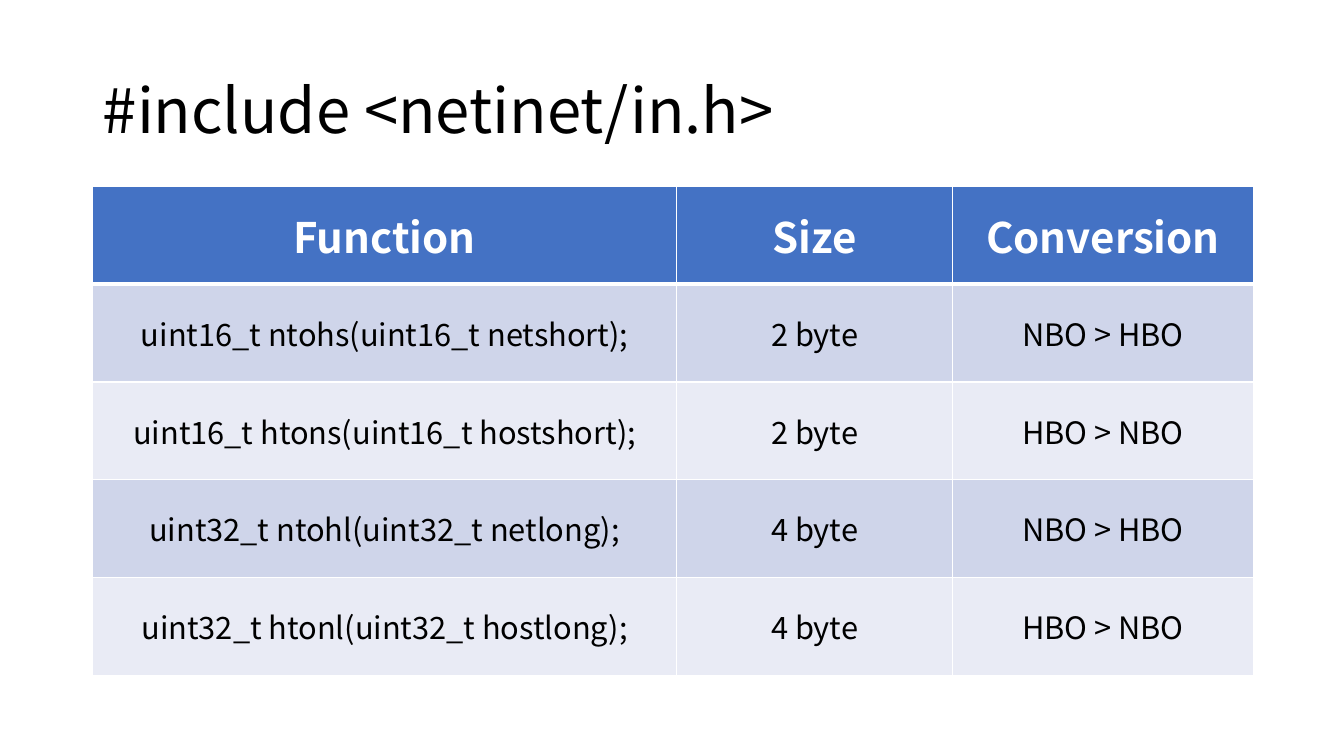
from lxml import etree
from pptx import Presentation
from pptx.dml.color import RGBColor as RGB
from pptx.enum.text import MSO_ANCHOR as Anchor, MSO_AUTO_SIZE as AutoSize, PP_ALIGN as Align
from pptx.oxml.ns import qn
from pptx.util import Inches, Pt

FONT = "Noto Sans CJK KR"
COLORS = {"text": "000000", "header": "4472C4", "odd": "CFD5EA",
          "even": "E9EBF5", "white": "FFFFFF"}
LEFT, WIDTH = 0.92, 11.5


def style_text(paragraph, size, color, align, bold=False):
    paragraph.alignment = align
    for run in paragraph.runs:
        run.font.name = FONT
        run.font.size = Pt(size)
        run.font.bold = bold
        run.font.color.rgb = RGB.from_string(COLORS[color])


def add_border(cell, side, width):
    line = etree.SubElement(cell._tc.get_or_add_tcPr(), qn(f"a:ln{side}"), w=str(Pt(width)))
    fill = etree.SubElement(line, qn("a:solidFill"))
    etree.SubElement(fill, qn("a:srgbClr"), val=COLORS["white"])


prs = Presentation()
prs.slide_width, prs.slide_height = Inches(13.33), Inches(7.5)
slide = prs.slides.add_slide(prs.slide_layouts[5])

# Title: the header to include
title = slide.shapes.title
title.left, title.top = Inches(LEFT), Inches(0.4)
title.width, title.height = Inches(WIDTH), Inches(1.45)
title.text_frame.text = "#include <netinet/in.h>"
title.text_frame.auto_size = AutoSize.NONE
title.text_frame.vertical_anchor = Anchor.MIDDLE
heading = title.text_frame.paragraphs[0]
heading.line_spacing = 0.9
style_text(heading, 44, "text", Align.LEFT)

# Byte order functions
functions = [
    ("Function", "Size", "Conversion"),
    ("uint16_t ntohs(uint16_t netshort);", "2 byte", "NBO > HBO"),
    ("uint16_t htons(uint16_t hostshort);", "2 byte", "HBO > NBO"),
    ("uint32_t ntohl(uint32_t netlong);", "4 byte", "NBO > HBO"),
    ("uint32_t htonl(uint32_t hostlong);", "4 byte", "HBO > NBO"),
]
table = slide.shapes.add_table(len(functions), 3, Inches(LEFT), Inches(1.85),
                               Inches(WIDTH), Inches(4.85)).table
for column, width in zip(table.columns, (5.79, 2.74, 2.98)):
    column.width = Inches(width)

for r, entries in enumerate(functions):
    table.rows[r].height = Inches(0.97)
    is_header = r == 0
    band = "header" if is_header else "odd" if r % 2 else "even"
    for c, entry in enumerate(entries):
        cell = table.cell(r, c)
        cell.text_frame.text = entry
        cell.vertical_anchor = Anchor.MIDDLE
        style_text(cell.text_frame.paragraphs[0], 30 if is_header else 22,
                   "white" if is_header else "text", Align.CENTER, is_header)
        # The rule below the header is thicker than the others
        for side, thick_row in (("L", None), ("R", None), ("T", 1), ("B", 0)):
            add_border(cell, side, 3 if r == thick_row else 1)
        cell.fill.solid()
        cell.fill.fore_color.rgb = RGB.from_string(COLORS[band])

prs.save("out.pptx")
